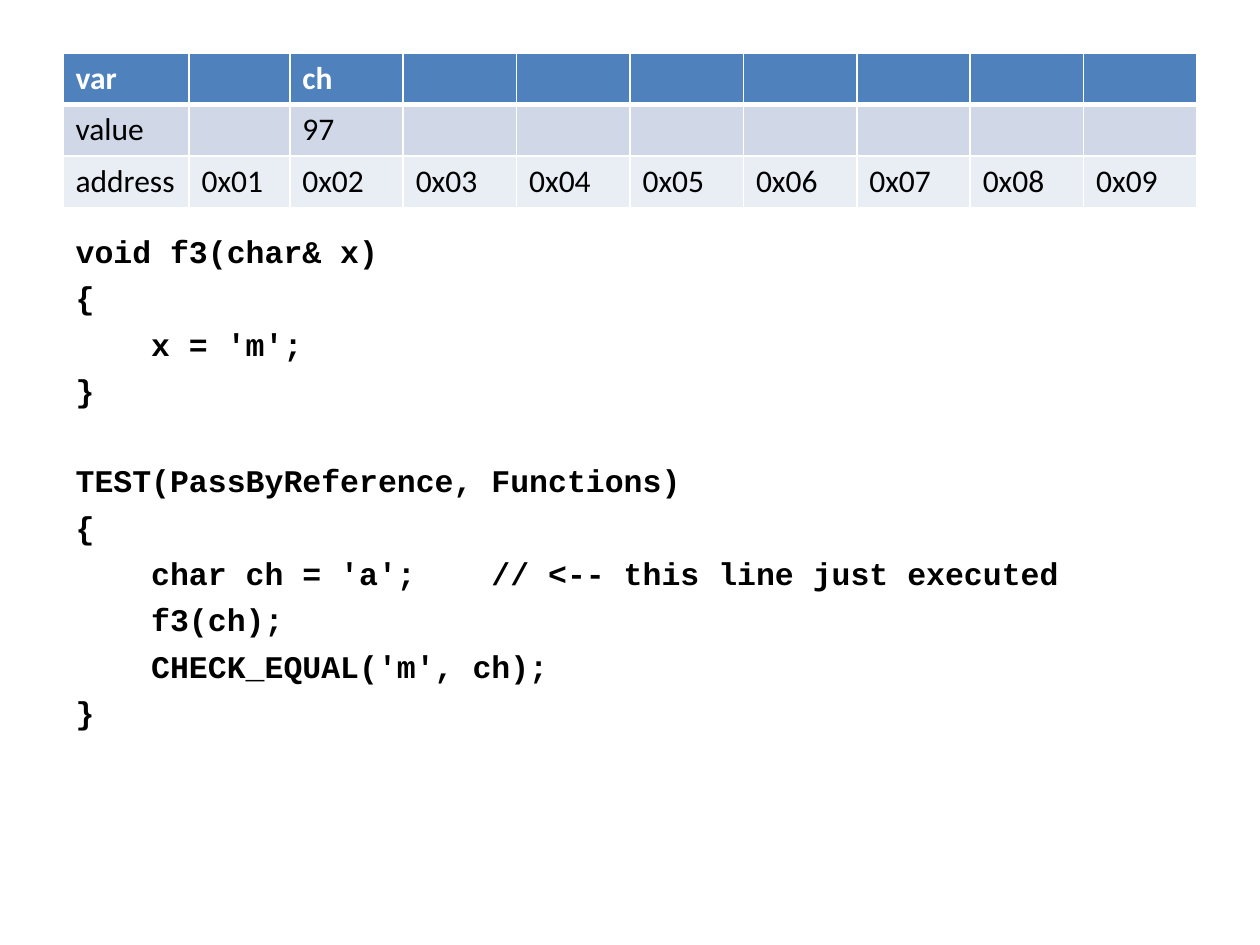
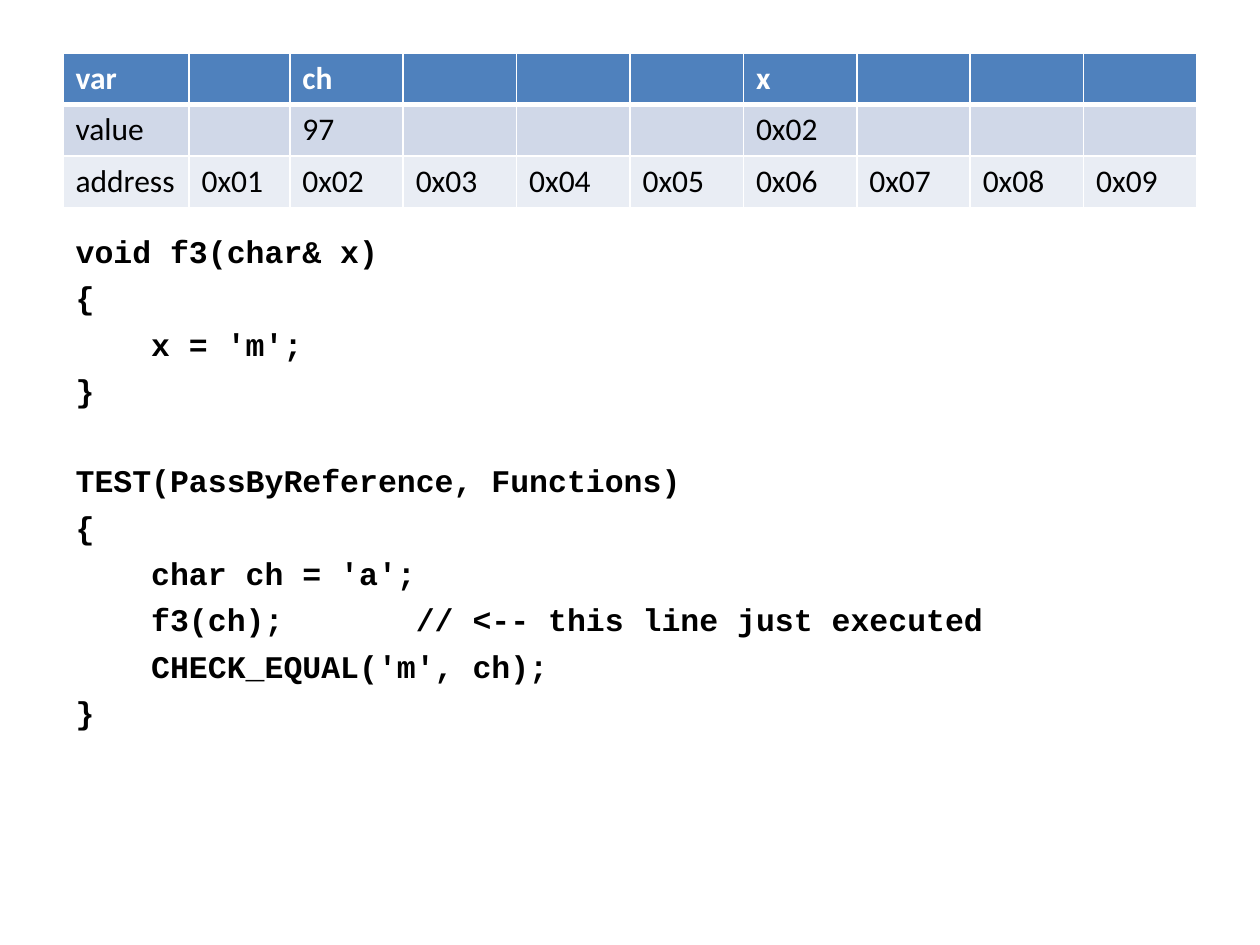
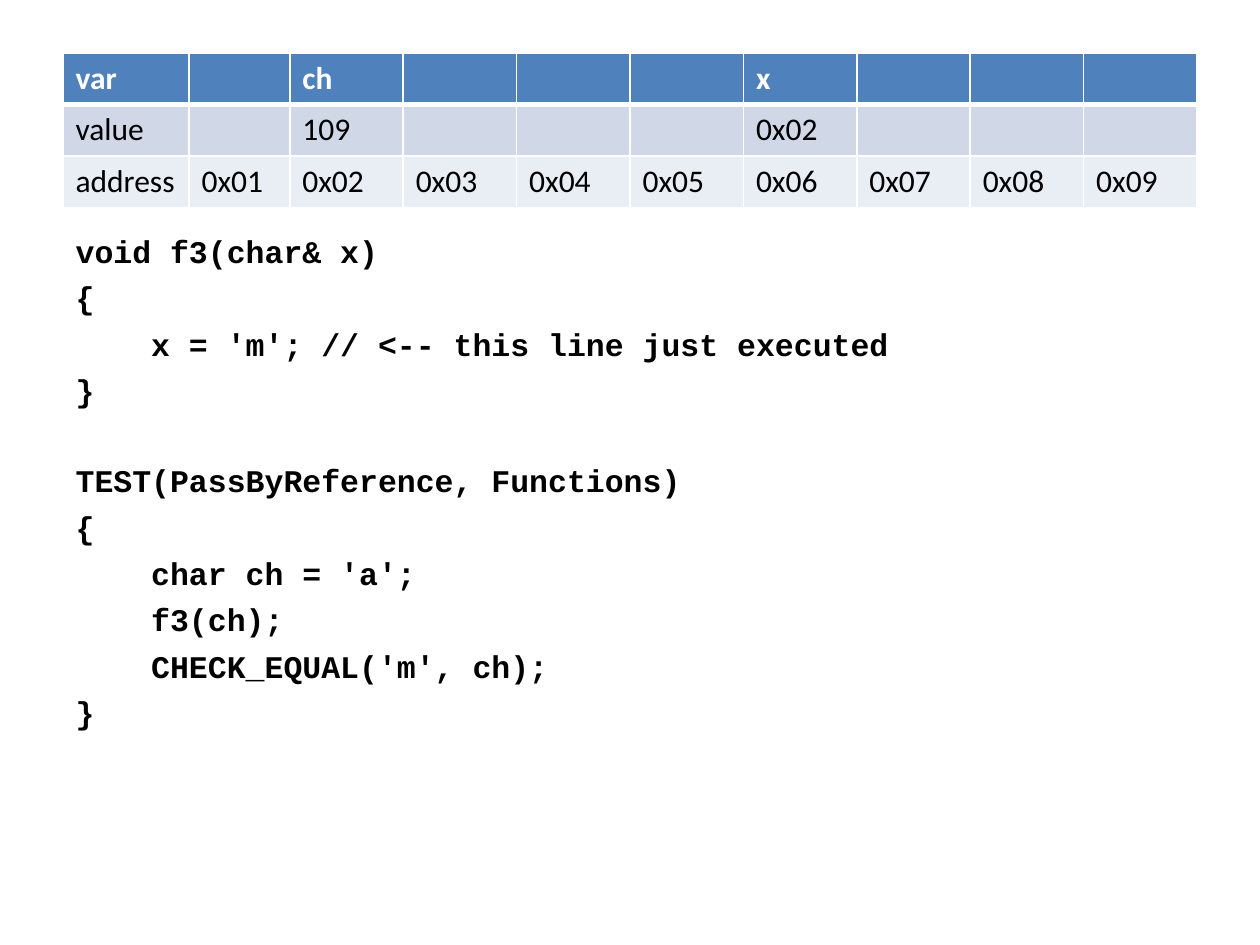
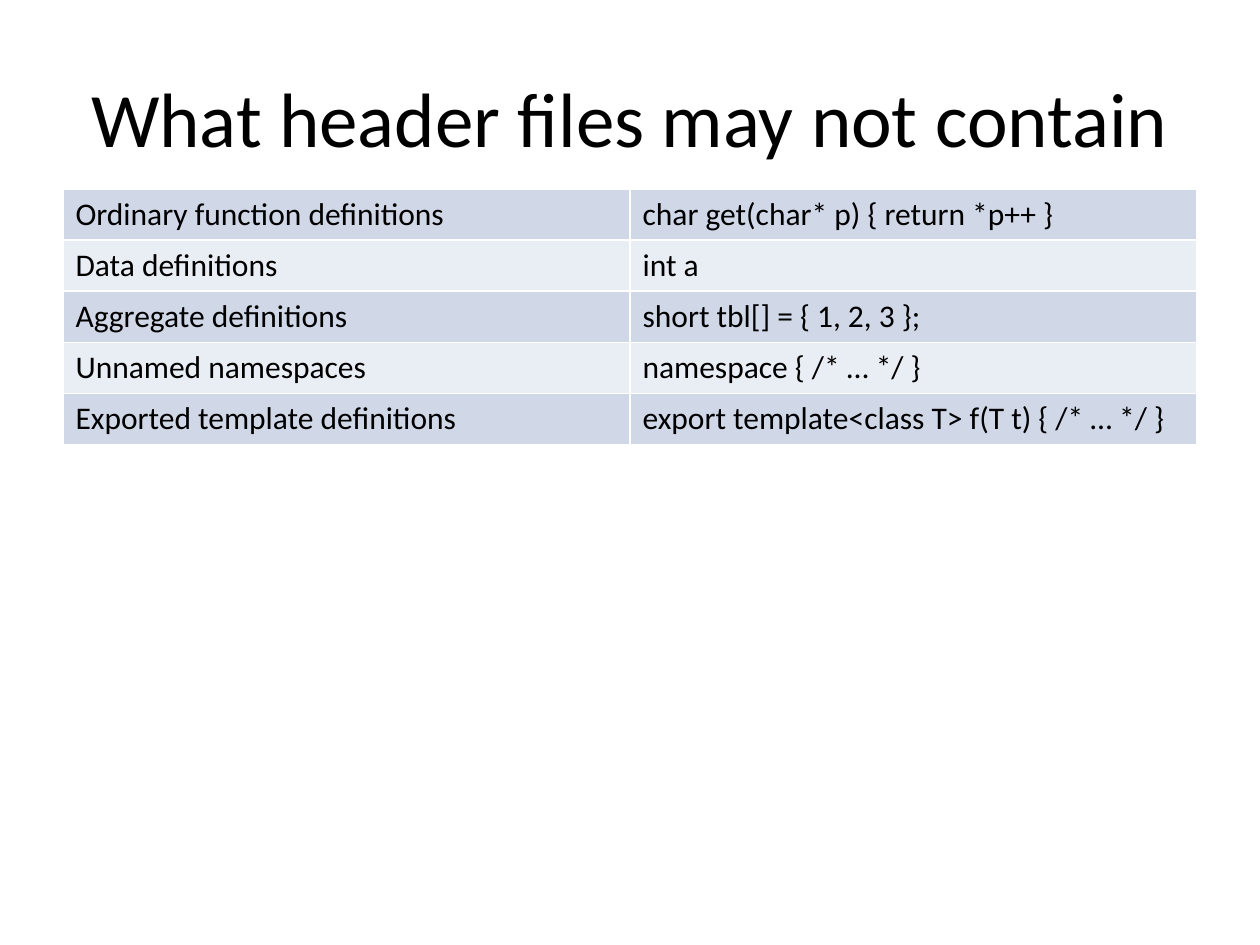
from lxml import etree
from pptx import Presentation
from pptx import util as u
from pptx.dml.color import RGBColor
from pptx.enum import text
from pptx.oxml import ns

# Shared style: 100 px to the inch
EMU_PER_PX = 9144
BLACK = RGBColor(0x00, 0x00, 0x00)
WHITE = RGBColor(0xFF, 0xFF, 0xFF)
HEADER_BLUE = RGBColor(0x4F, 0x81, 0xBD)
BANDS = (RGBColor(0xD0, 0xD8, 0xE8), RGBColor(0xE9, 0xED, 0xF4))
SANS, MONO = "Calibri", "Courier New"
LEFT, WIDTH = 50, 900
CONTENT_LAYOUT, TITLE_LAYOUT = 1, 5

# Memory table and code shared by the first three slides
ADDRESSES = [f"0x{number:02}" for number in range(1, 10)]
MEMORY_COLUMNS = [100, 80] + [90] * 8
CODE = [
    "void f3(char& x)",
    "{",
    "    x = 'm';",
    "}",
    "",
    "TEST(PassByReference, Functions)",
    "{",
    "    char ch = 'a';",
    "    f3(ch);",
    "    CHECK_EQUAL('m', ch);",
    "}",
]
EXECUTED = "// <-- this line just executed"

# Variables as {address: (name, value)}, executed line, spaces before its comment
STEPS = [
    ({"0x02": ("ch", "97")}, 7, 4),
    ({"0x02": ("ch", "97"), "0x06": ("x", "0x02")}, 8, 7),
    ({"0x02": ("ch", "109"), "0x06": ("x", "0x02")}, 2, 1),
]

FORBIDDEN = [
    ("Ordinary function definitions", "char get(char* p) { return *p++ }"),
    ("Data definitions", "int a"),
    ("Aggregate definitions", "short tbl[] = { 1, 2, 3 };"),
    ("Unnamed namespaces", "namespace { /* … */ }"),
    ("Exported template definitions", "export template<class T> f(T t) { /* … */ }"),
]


def px(length):
    return u.Emu(length * EMU_PER_PX)


class SlideBuilder:
    def __init__(self, deck):
        self.deck = deck
        self.slide = None

    def new_slide(self, layout):
        self.slide = self.deck.slides.add_slide(self.deck.slide_layouts[layout])

    def place(self, shape, top, height):
        shape.left, shape.top = px(LEFT), px(top)
        shape.width, shape.height = px(WIDTH), px(height)

    def style(self, paragraph, font, size, color=BLACK, bold=False):
        for span in paragraph.runs:
            span.font.name, span.font.size = font, u.Pt(size)
            span.font.color.rgb, span.font.bold = color, bold

    def title(self, words):
        box = self.slide.shapes.title
        self.place(box, 30, 125)
        box.text_frame.text = words
        box.text_frame.vertical_anchor = text.MSO_ANCHOR.MIDDLE
        para = box.text_frame.paragraphs[0]
        para.alignment = text.PP_ALIGN.CENTER
        self.style(para, SANS, 44)

    def code(self, lines):
        heading = self.slide.shapes.title
        heading.element.getparent().remove(heading.element)
        box = self.slide.placeholders[1]
        self.place(box, 175, 495)
        frame = box.text_frame
        frame.word_wrap = True
        frame.auto_size = text.MSO_AUTO_SIZE.NONE
        frame.margin_top = px(9)
        # An empty code line becomes space before the next one
        frame.text = "\n".join(line for line in lines if line)
        gaps = [30 if not before else 4.9 for before, line in zip(lines, lines[1:]) if line]
        for para, gap in zip(frame.paragraphs, [0] + gaps):
            properties = para._p.get_or_add_pPr()
            properties.set("marL", str(px(38)))
            properties.set("indent", str(px(-38)))
            etree.SubElement(properties, ns.qn("a:buNone"))
            para.space_before = u.Pt(gap)
            self.style(para, MONO, 18, bold=True)

    def border(self, cell, side, points):
        line = etree.SubElement(cell._tc.get_or_add_tcPr(), ns.qn(f"a:ln{side}"), w=str(u.Pt(points)))
        fill = etree.SubElement(line, ns.qn("a:solidFill"))
        etree.SubElement(fill, ns.qn("a:srgbClr"), val=str(WHITE))

    def table(self, rows, columns, top, row_height, header=False):
        frame = self.slide.shapes.add_table(
            len(rows), len(columns), px(LEFT), px(top), px(WIDTH), px(row_height * len(rows)))
        grid = frame.table
        grid.first_row = header
        for column, width in zip(grid.columns, columns):
            column.width = px(width)
        for index, values in enumerate(rows):
            is_header = header and index == 0
            fill = HEADER_BLUE if is_header else BANDS[(index - header) % 2]
            for cell, value in zip(grid.rows[index].cells, values):
                for side in "LRTB":
                    below = is_header and side == "B"
                    under = header and index == 1 and side == "T"
                    self.border(cell, side, 3 if below or under else 1)
                cell.fill.solid()
                cell.fill.fore_color.rgb = fill
                cell.text_frame.text = value
                self.style(cell.text_frame.paragraphs[0], SANS, 18,
                           WHITE if is_header else BLACK, is_header)


def main():
    deck = Presentation()
    deck.slide_width, deck.slide_height = px(1000), px(750)
    builder = SlideBuilder(deck)

    # Pass by reference, step by step
    for variables, executed, spaces in STEPS:
        builder.new_slide(CONTENT_LAYOUT)
        lines = list(CODE)
        lines[executed] += " " * spaces + EXECUTED
        builder.code(lines)
        cells = [variables.get(address, ("", "")) for address in ADDRESSES]
        rows = [
            ["var"] + [name for name, value in cells],
            ["value"] + [value for name, value in cells],
            ["address"] + ADDRESSES,
        ]
        builder.table(rows, MEMORY_COLUMNS, 42, 41, header=True)

    # Header files
    builder.new_slide(TITLE_LAYOUT)
    builder.title("What header files may not contain")
    builder.table(FORBIDDEN, [450, 450], 150, 40)

    deck.save("out.pptx")


if __name__ == "__main__":
    main()
